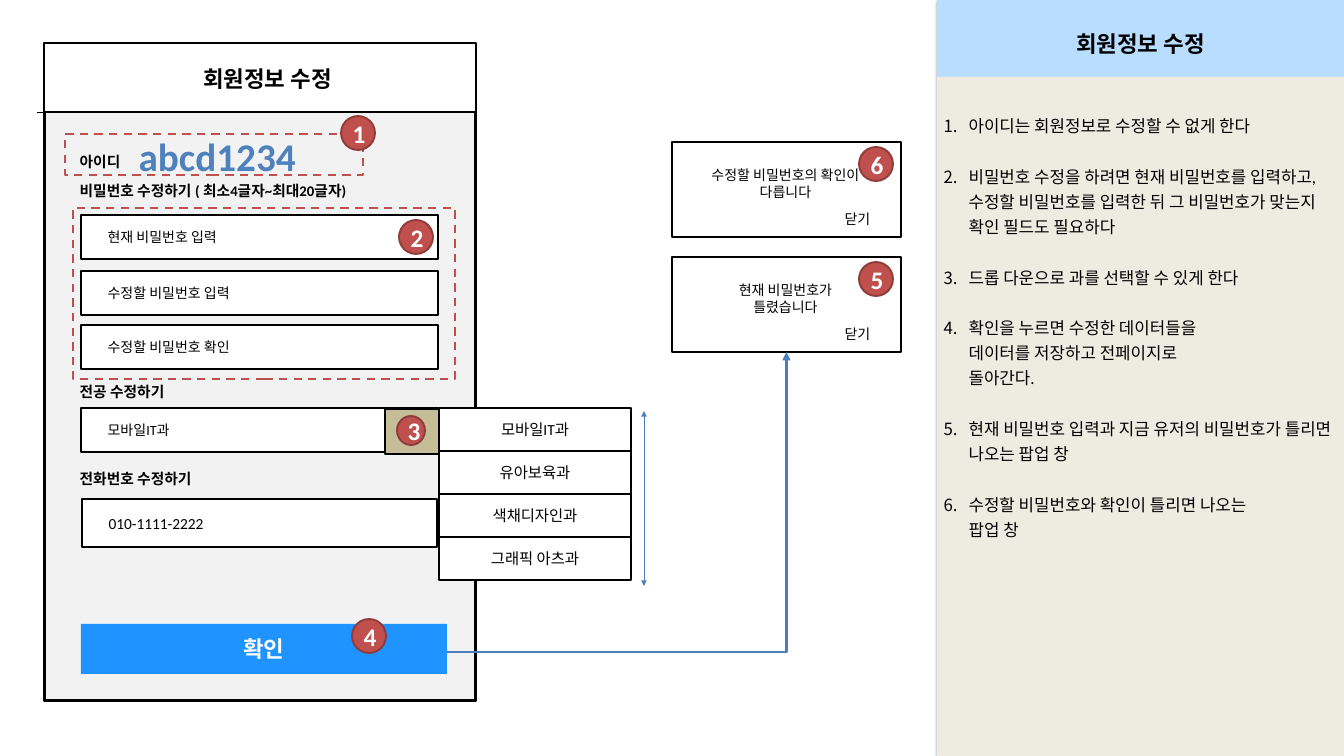
"""Build the wireframe slide for the member information edit screen."""
import pptx
import pptx.dml.color
import pptx.enum.dml
import pptx.enum.shapes
import pptx.enum.text
import pptx.oxml
import pptx.oxml.ns
import pptx.util
from lxml import etree

RGBColor = pptx.dml.color.RGBColor
SHAPE = pptx.enum.shapes.MSO_SHAPE
CONNECTOR = pptx.enum.shapes.MSO_CONNECTOR
ALIGN = pptx.enum.text.PP_ALIGN
ANCHOR = pptx.enum.text.MSO_ANCHOR
Pt = pptx.util.Pt
qn = pptx.oxml.ns.qn

BLACK = RGBColor(0x00, 0x00, 0x00)
WHITE = RGBColor(0xFF, 0xFF, 0xFF)
PANEL_GRAY = RGBColor(0xF2, 0xF2, 0xF2)
SKY = RGBColor(0xB8, 0xDD, 0xFF)
CREAM = RGBColor(0xEE, 0xEC, 0xE1)
KHAKI = RGBColor(0xC4, 0xBD, 0x97)
RED = RGBColor(0xC0, 0x50, 0x4D)
DARK_RED = RGBColor(0x8E, 0x3B, 0x39)
ID_BLUE = RGBColor(0x4F, 0x81, 0xBD)
ARROW_BLUE = RGBColor(0x4B, 0x7E, 0xBC)
BUTTON_BLUE = RGBColor(0x1F, 0x93, 0xFF)

FONT = "Calibri"
EMU_PER_PX = 914400 / 67.2
BADGE_SIZE = 34

TITLE = "회원정보 수정"
NOTES = [
    ["아이디는 회원정보로 수정할 수 없게 한다"],
    ["비밀번호 수정을 하려면 현재 비밀번호를 입력하고, 수정할 비밀번호를 입력한 뒤 그 비밀번호가 맞는지 확인 필드도 필요하다"],
    ["드롭 다운으로 과를 선택할 수 있게 한다"],
    ["확인을 누르면 수정한 데이터들을", "데이터를 저장하고 전페이지로", "돌아간다."],
    ["현재 비밀번호 입력과 지금 유저의 비밀번호가 틀리면 나오는 팝업 창"],
    ["수정할 비밀번호와 확인이 틀리면 나오는", "팝업 창"],
]
FIELDS = [
    ("현재 비밀번호 입력", (81, 215, 357, 44), 15),
    ("수정할 비밀번호 입력", (81, 271, 357, 44), 15),
    ("수정할 비밀번호 확인", (81, 325, 357, 44), 15),
    ("모바일IT과", (81, 408, 357, 44), 15),
    ("010-1111-2222", (82, 499, 355, 48), 16.5),
]
LABELS = [
    ("아이디", 149),
    ("비밀번호 수정하기 ( 최소4글자~최대20글자)", 178),
    ("전공 수정하기", 379),
    ("전화번호 수정하기", 466),
]
DASHED_AREAS = [(73, 208, 382, 171), (65, 134, 298, 41)]
MAJORS = ["모바일IT과", "유아보육과", "색채디자인과", "그래픽 아츠과"]
POPUPS = [
    ("6", ["수정할 비밀번호의 확인이", "다릅니다"], 142),
    ("5", ["현재 비밀번호가", "틀렸습니다"], 257),
]
BADGES = [
    ("1", (341, 116, BADGE_SIZE, BADGE_SIZE)),
    ("2", (399, 220, BADGE_SIZE, BADGE_SIZE)),
    ("3", (397, 416, 28, 29)),
    ("4", (352, 619, BADGE_SIZE, BADGE_SIZE)),
]


def px(length):
    return pptx.util.Emu(round(length * EMU_PER_PX))


def add_run(paragraph, text, size, color=BLACK, bold=False):
    run = paragraph.add_run()
    run.text = text
    run.font.name = FONT
    run.font.size = Pt(size)
    run.font.bold = bold
    run.font.color.rgb = color


def write(shape, lines, size, color=BLACK, bold=False, align=ALIGN.CENTER):
    frame = shape.text_frame
    for index, line in enumerate(lines):
        paragraph = frame.add_paragraph() if index else frame.paragraphs[0]
        paragraph.alignment = align
        add_run(paragraph, line, size, color, bold)


def add_box(shapes, box, fill=None, line=None, weight=2, kind=SHAPE.RECTANGLE):
    shape = shapes.add_shape(kind, *map(px, box))
    shape.shadow.inherit = False
    if fill is None:
        shape.fill.background()
    else:
        shape.fill.solid()
        shape.fill.fore_color.rgb = fill
    if line is None:
        shape.line.fill.background()
    else:
        shape.line.color.rgb = line
        shape.line.width = Pt(weight)
    return shape


def add_text(shapes, box, lines, size, wrap=True, **style):
    text_box = shapes.add_textbox(*map(px, box))
    text_box.text_frame.word_wrap = wrap
    write(text_box, lines, size, **style)
    return text_box


def add_badge(shapes, number, box):
    badge = add_box(shapes, box, RED, DARK_RED, kind=SHAPE.OVAL)
    write(badge, [number], 27, WHITE, True)


def add_line(shapes, start, end, color, weight, arrows=(), kind=CONNECTOR.STRAIGHT):
    connector = shapes.add_connector(kind, *map(px, start + end))
    connector.line.color.rgb = color
    connector.line.width = Pt(weight)
    line = connector.line._get_or_add_ln()
    for arrow in arrows:
        etree.SubElement(line, qn(f"a:{arrow}"), type="triangle")
    etree.SubElement(connector._element.spPr, qn("a:effectLst"))
    return connector


def add_popup(shapes, number, message, top):
    popup = shapes.add_group_shape().shapes
    frame = add_box(popup, (672, top, 229, 95), line=BLACK)
    add_text(popup, (817, top + 65, 81, 24), ["닫기"], 15)
    add_text(popup, (687, top + 21, 197, 41), message, 15)
    add_badge(popup, number, (859, top + 5, BADGE_SIZE, BADGE_SIZE))
    return frame


def add_sidebar(shapes):
    header = add_box(shapes, (937, 0, 407, 756), SKY)
    header.text_frame.vertical_anchor = ANCHOR.TOP
    write(header, [TITLE], 24, bold=True)
    header.text_frame.paragraphs[0].line_spacing = 2.0
    effects = header._element.spPr.find(qn("a:effectLst"))
    shadow = etree.SubElement(effects, qn("a:outerShdw"), blurRad=str(Pt(3.1)),
                              dist=str(Pt(1.6)), dir="5400000", rotWithShape="0")
    shade = etree.SubElement(shadow, qn("a:srgbClr"), val=str(BLACK))
    etree.SubElement(shade, qn("a:alpha"), val="38000")

    body = add_box(shapes, (937, 77, 407, 679), CREAM)
    frame = body.text_frame
    frame.vertical_anchor = ANCHOR.TOP
    frame.margin_top = px(34)
    for index, note in enumerate(NOTES):
        paragraph = frame.add_paragraph() if index else frame.paragraphs[0]
        properties = paragraph._p.get_or_add_pPr()
        properties.set("marL", str(px(25)))
        properties.set("indent", str(px(-25)))
        etree.SubElement(properties, qn("a:buFont"), typeface="+mj-lt")
        etree.SubElement(properties, qn("a:buAutoNum"), type="arabicPeriod")
        paragraph.alignment = ALIGN.LEFT
        paragraph.line_spacing = Pt(27)
        if index:
            paragraph.space_before = Pt(27)
        for position, line in enumerate(note):
            if position:
                paragraph.add_line_break()
            add_run(paragraph, line, 18)


def main():
    presentation = pptx.Presentation()
    presentation.slide_width, presentation.slide_height = px(1344), px(756)
    shapes = presentation.slides.add_slide(presentation.slide_layouts[6]).shapes

    add_line(shapes, (37, 112), (466, 112), BLACK, 0.75)
    screen = shapes.add_group_shape().shapes
    add_box(screen, (44, 43, 432, 658), line=BLACK)
    add_text(screen, (190, 62, 155, 34), [TITLE], 24, wrap=False, bold=True)
    add_sidebar(shapes)
    add_box(shapes, (45, 112, 430, 588), PANEL_GRAY, BLACK)

    for text, box, size in FIELDS:
        field = add_box(shapes, box, WHITE, BLACK)
        write(field, [text], size, align=ALIGN.LEFT)
        field.text_frame.paragraphs[0]._p.get_or_add_pPr().set("indent", str(px(20)))
    for box in DASHED_AREAS:
        area = add_box(shapes, box, line=RED, weight=2.25)
        area.line.dash_style = pptx.enum.dml.MSO_LINE.DASH
    add_box(shapes, (385, 409, 54, 45), KHAKI, BLACK)
    user_id = add_text(shapes, (132, 129, 209, 54), ["abcd1234"], 42,
                       color=ID_BLUE, bold=True, align=ALIGN.LEFT)
    user_id.text_frame.vertical_anchor = ANCHOR.MIDDLE
    for text, top in LABELS:
        add_text(shapes, (73, top, 388, 25), [text], 15.8, bold=True, align=ALIGN.LEFT)

    popup_frames = {number: add_popup(shapes, number, message, top)
                    for number, message, top in POPUPS}
    elbow = add_line(shapes, (436, 652), (786, 352), ARROW_BLUE, 3,
                     ["tailEnd"], CONNECTOR.ELBOW)
    elbow._element.spPr.find(qn("a:prstGeom")).set("prst", "bentConnector2")
    elbow.end_connect(popup_frames["5"], 2)

    dropdown = shapes.add_group_shape().shapes
    for index, major in enumerate(MAJORS):
        option = add_box(dropdown, (439, 408 + 43 * index, 192, 43), WHITE, BLACK)
        write(option, [major], 16.5)
    add_line(shapes, (644, 411), (644, 586), ARROW_BLUE, 0.75, ["headEnd", "tailEnd"])

    button = add_box(shapes, (81, 624, 366, 50), BUTTON_BLUE)
    write(button, ["확인"], 24, WHITE, True)
    for number, box in BADGES:
        add_badge(shapes, number, box)

    presentation.save("out.pptx")


if __name__ == "__main__":
    main()
